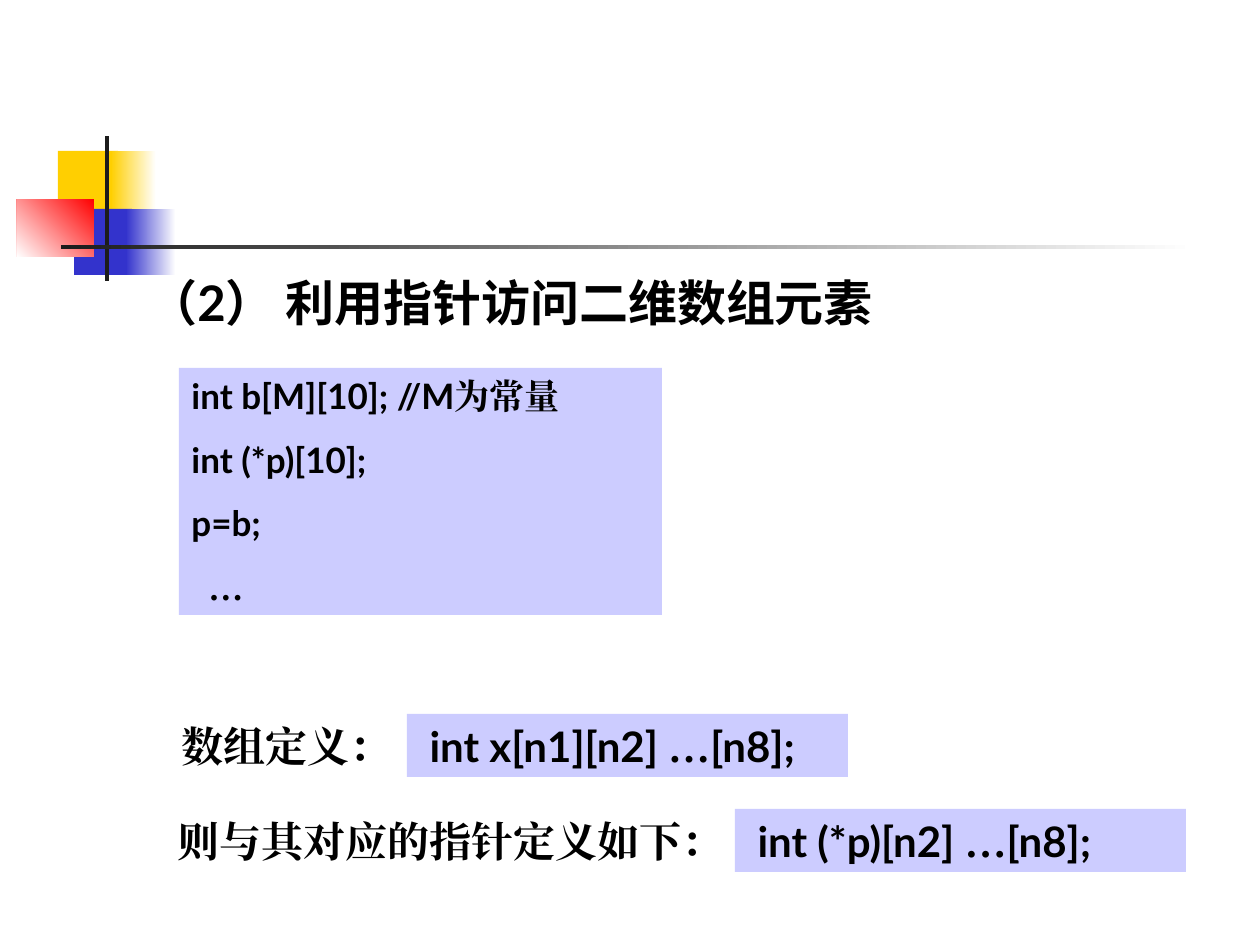
from dataclasses import dataclass
from typing import Optional

from lxml import etree
from pptx import Presentation
from pptx import util as u
from pptx.dml.color import RGBColor
from pptx.enum import shapes, text
from pptx.oxml import ns

EMU_PER_PX = 914400 / 126


@dataclass(frozen=True)
class Theme:
    ink: str = "000000"
    panel: str = "CCCCFF"
    white: str = "FFFFFF"
    yellow: str = "FFCF01"
    blue: str = "3333CC"
    red: str = "FF0000"
    bar: str = "1C1C1C"
    latin: str = "Lato"
    serif: str = "Times New Roman"
    chinese: str = "Noto Sans CJK SC"
    title_size: int = 28
    formula_size: int = 24
    code_size: int = 20


THEME = Theme()


@dataclass(frozen=True)
class Area:
    left: int
    top: int
    width: int
    height: int


@dataclass(frozen=True)
class Block:
    area: Area
    start: str
    end: Optional[str] = None
    angle: int = 180


@dataclass(frozen=True)
class Span:
    words: str
    font: str


@dataclass(frozen=True)
class Note:
    area: Area
    lines: tuple[tuple[Span, ...], ...]
    size: int
    fill: Optional[str] = None
    wrap: bool = True
    fit: text.MSO_AUTO_SIZE = text.MSO_AUTO_SIZE.SHAPE_TO_FIT_TEXT
    align: text.PP_ALIGN = text.PP_ALIGN.LEFT
    before: float = 0
    spacing: float = 1


def px(length: int) -> u.Emu:
    return u.Emu(round(length * EMU_PER_PX))


def bounds(area: Area) -> tuple[u.Emu, ...]:
    return tuple(px(n) for n in (area.left, area.top, area.width, area.height))


def apply(target, values: dict) -> None:
    for name, value in values.items():
        setattr(target, name, value)


def add_rectangle(page, area: Area):
    box = page.shapes.add_shape(shapes.MSO_SHAPE.RECTANGLE, *bounds(area))
    box.shadow.inherit = False
    box.line.fill.background()
    return box


def paint(box, color: str) -> None:
    box.fill.solid()
    box.fill.fore_color.rgb = RGBColor.from_string(color)


def draw_block(page, block: Block) -> None:
    box = add_rectangle(page, block.area)
    if block.end is None:
        paint(box, block.start)
        return
    box.fill.gradient()
    box.fill.gradient_angle = 360 - block.angle
    for stop, color in zip(box.fill.gradient_stops, (block.start, block.end)):
        stop.color.rgb = RGBColor.from_string(color)


def write_span(para, item: Span, size: int) -> None:
    span = para.add_run()
    span.text = item.words
    apply(span.font, {"name": item.font, "size": u.Pt(size), "bold": True})
    span.font.color.rgb = RGBColor.from_string(THEME.ink)
    east_asian = etree.SubElement(span.font._element, ns.qn("a:ea"))
    east_asian.set("typeface", item.font)


def draw_note(page, note: Note) -> None:
    if note.fill:
        box = add_rectangle(page, note.area)
        paint(box, note.fill)
    else:
        box = page.shapes.add_textbox(*bounds(note.area))
    frame = box.text_frame
    apply(frame, {
        "word_wrap": note.wrap,
        "auto_size": note.fit,
        "vertical_anchor": text.MSO_ANCHOR.TOP,
    })
    for index, line in enumerate(note.lines):
        para = frame.add_paragraph() if index else frame.paragraphs[0]
        apply(para, {
            "alignment": note.align,
            "line_spacing": note.spacing,
            "space_before": u.Pt(note.before if index else 0),
        })
        for item in line:
            write_span(para, item, note.size)


def formula(start: str) -> tuple[tuple[Span, ...], ...]:
    return ((Span(start, THEME.latin), Span("…", THEME.serif),
             Span("[n8];", THEME.latin)),)


def label(words: str) -> tuple[tuple[Span, ...], ...]:
    return ((Span(words, THEME.serif),),)


BLOCKS = (
    Block(Area(58, 151, 60, 66), THEME.yellow),
    Block(Area(111, 151, 45, 66), THEME.white, THEME.yellow),
    Block(Area(74, 209, 58, 66), THEME.blue),
    Block(Area(126, 209, 50, 66), THEME.white, THEME.blue),
    Block(Area(17, 199, 77, 58), THEME.red, THEME.white, 135),
    Block(Area(105, 136, 4, 145), THEME.bar),
    Block(Area(61, 245, 1134, 4), THEME.white, THEME.bar),
)

TITLE = (
    (Span("（", THEME.chinese), Span("2", THEME.latin),
     Span("） 利用指针访问二维数组元素", THEME.chinese)),
)
CODE = (
    (Span("int b[M][10]; //M", THEME.latin), Span("为常量", THEME.serif)),
    (Span("int (*p)[10];", THEME.latin),),
    (Span("p=b;", THEME.latin),),
    (Span("  ", THEME.latin), Span("…", THEME.serif)),
)

NOTES = (
    Note(Area(136, 273, 782, 68), TITLE, THEME.title_size,
         fit=text.MSO_AUTO_SIZE.NONE, spacing=0.9),
    Note(Area(179, 368, 483, 247), CODE, THEME.code_size, THEME.panel,
         align=text.PP_ALIGN.JUSTIFY, before=12.5),
    Note(Area(735, 809, 451, 63), formula(" int (*p)[n2] "),
         THEME.formula_size, THEME.panel, align=text.PP_ALIGN.JUSTIFY),
    Note(Area(169, 714, 234, 63), label("数组定义："),
         THEME.formula_size, wrap=False),
    Note(Area(407, 714, 441, 63), formula(" int x[n1][n2] "),
         THEME.formula_size, THEME.panel),
    Note(Area(165, 809, 571, 63), label("则与其对应的指针定义如下："),
         THEME.formula_size, wrap=False),
)


def main() -> None:
    deck = Presentation()
    apply(deck, {"slide_width": px(1260), "slide_height": px(945)})
    page = deck.slides.add_slide(deck.slide_layouts[6])
    for block in BLOCKS:
        draw_block(page, block)
    for note in NOTES:
        draw_note(page, note)
    deck.save("out.pptx")


if __name__ == "__main__":
    main()
